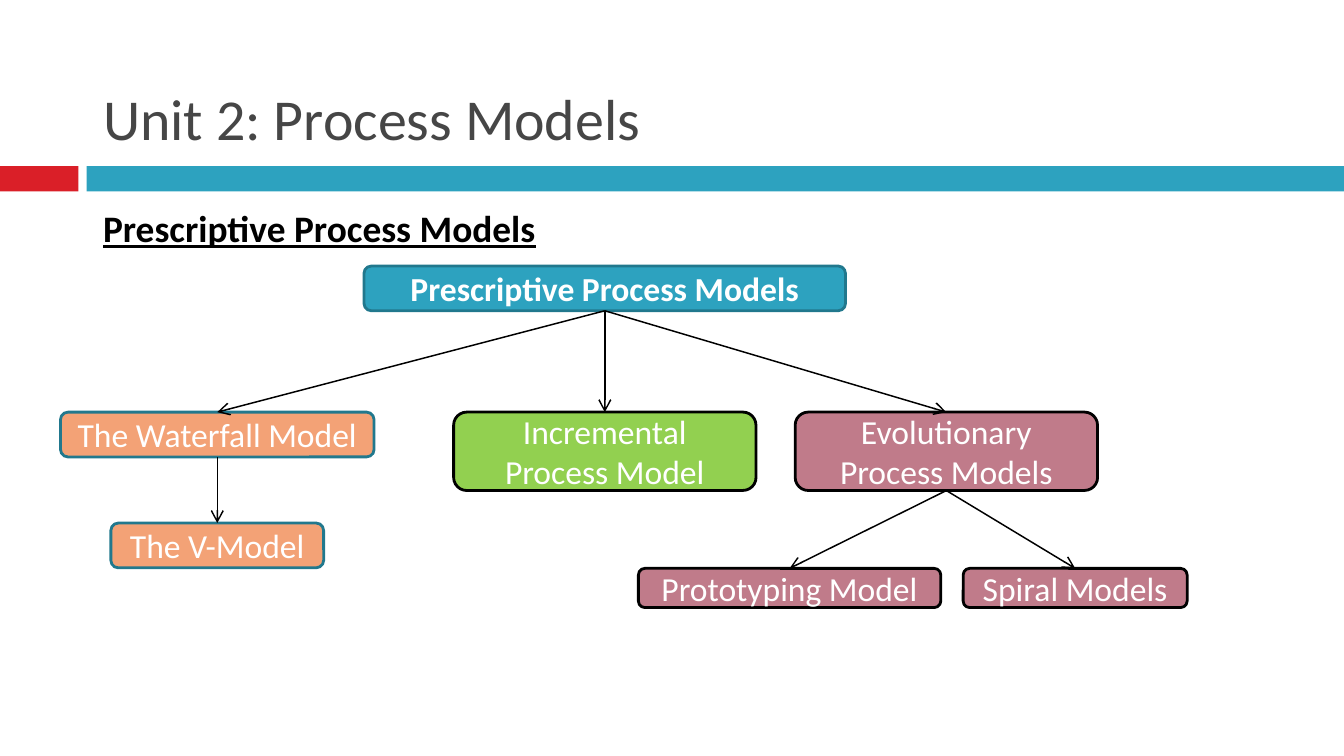
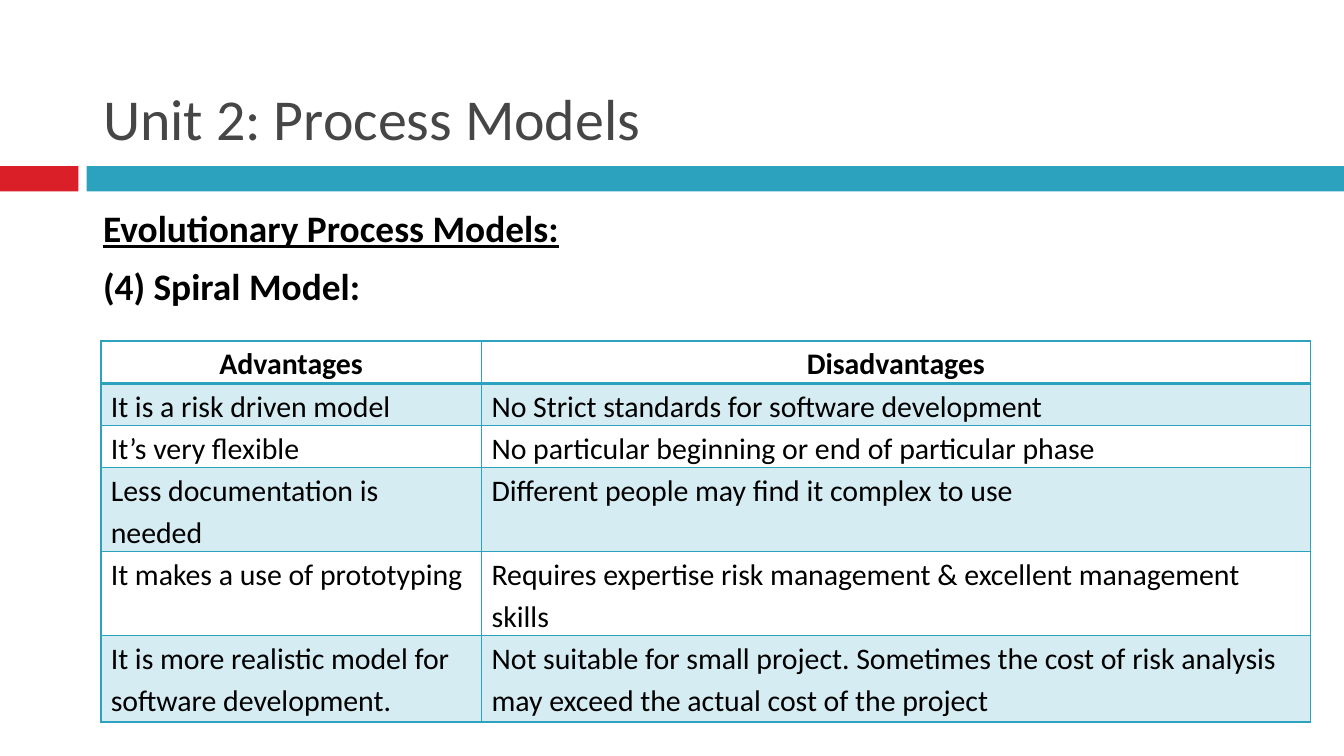
from lxml.etree import SubElement
from pptx import Presentation
from pptx.dml.color import RGBColor
from pptx.enum.shapes import MSO_CONNECTOR, MSO_SHAPE
from pptx.enum.text import MSO_ANCHOR, MSO_AUTO_SIZE, PP_ALIGN
from pptx.oxml.ns import qn
from pptx.util import Inches, Pt

COLORS = {
    "red": "DA1F28",
    "teal": "2DA2BF",
    "dark teal": "21788D",
    "gray": "464646",
    "black": "000000",
    "white": "FFFFFF",
    "orange": "F3A276",
    "green": "92D050",
    "rose": "C07B8A",
}
FONT = "Calibri"
TITLE = "Unit 2: Process Models"
COLUMNS = 120  # grid over the slide width; rows are as tall as columns are wide
TOP, BOTTOM = 0, 2  # connection sites


def color(name):
    return RGBColor.from_string(COLORS[name])


class SlideBuilder:
    """Holds the deck, its style and the current page; lengths are grid units."""

    def __init__(self):
        self.deck = Presentation()
        self.deck.slide_width = Inches(10)
        self.deck.slide_height = Inches(10) * 9 // 16
        self.page = None

    def unit(self, count):
        return round(self.deck.slide_width * count / COLUMNS)

    def place(self, item, *frame):
        item.left, item.top, item.width, item.height = map(self.unit, frame)

    def format_text(self, para, size, ink, bold=False, underline=False):
        for span in para.runs:
            span.font.name = FONT
            span.font.size = Pt(size)
            span.font.bold = bold
            span.font.underline = underline
            span.font.color.rgb = color(ink)

    def shape(self, kind, frame, fill, line=None):
        shape = self.page.shapes.add_shape(kind, *map(self.unit, frame))
        shape.shadow.inherit = False
        shape.fill.solid()
        shape.fill.fore_color.rgb = color(fill)
        if line:
            shape.line.color.rgb = color(line)
            shape.line.width = Pt(1.5)
        else:
            shape.line.fill.background()
        return shape

    def new_page(self, headings, text_columns=1):
        self.page = self.deck.slides.add_slide(self.deck.slide_layouts[1])
        title, body = self.page.placeholders

        # Bands under the title
        self.shape(MSO_SHAPE.RECTANGLE, (0, 14.85, 7, 2.25), "red")
        self.shape(MSO_SHAPE.RECTANGLE, (7.75, 14.85, 112.25, 2.25), "teal")

        # Title
        self.place(title, 8, 3.75, 107, 10.4)
        title.text_frame.text = TITLE
        title.text_frame.vertical_anchor = MSO_ANCHOR.BOTTOM
        title.text_frame.auto_size = MSO_AUTO_SIZE.NONE
        title.text_frame.paragraphs[0].alignment = PP_ALIGN.LEFT
        self.format_text(title.text_frame.paragraphs[0], 31, "gray")

        # Headings: the first one is underlined
        self.place(body, 8, 17.75, 110, 47)
        body.text_frame.text = "\n".join(headings)
        body.text_frame.auto_size = MSO_AUTO_SIZE.NONE
        body.text_frame._txBody.bodyPr.set("numCol", str(text_columns))
        for index, para in enumerate(body.text_frame.paragraphs):
            para.space_before = Pt(7)
            properties = para._p.get_or_add_pPr()
            properties.set("marL", "0")
            properties.set("indent", "0")
            SubElement(properties, qn("a:buNone"))
            self.format_text(para, 20, "black", bold=True, underline=index == 0)

    def node(self, text, frame, fill, line="black", bold=False):
        box = self.shape(MSO_SHAPE.ROUNDED_RECTANGLE, frame, fill, line)
        box.text_frame.word_wrap = True
        box.text_frame.vertical_anchor = MSO_ANCHOR.MIDDLE
        box.text_frame.text = text
        para = box.text_frame.paragraphs[0]
        para.alignment = PP_ALIGN.CENTER
        self.format_text(para, 18, "white", bold)
        return box

    def arrow(self, parent, child):
        arrow = self.page.shapes.add_connector(MSO_CONNECTOR.STRAIGHT, 0, 0, 0, 0)
        arrow.begin_connect(parent, BOTTOM)
        arrow.end_connect(child, TOP)
        arrow.line.color.rgb = color("black")
        arrow.line.width = Pt(0.79)
        SubElement(arrow.line._get_or_add_ln(), qn("a:tailEnd"), type="arrow")
        SubElement(arrow._element.spPr, qn("a:effectLst"))

    def border(self, cell, side, width):
        line = SubElement(cell._tc.get_or_add_tcPr(), qn(f"a:ln{side}"), w=str(Pt(width)))
        SubElement(SubElement(line, qn("a:solidFill")), qn("a:srgbClr"), val=COLORS["teal"])

    def cell(self, cell, text, header, heavy_top, tinted):
        cell.margin_left = cell.margin_right = Pt(5.4)
        cell.margin_top = cell.margin_bottom = 0
        cell.text_frame.text = text
        para = cell.text_frame.paragraphs[0]
        para.line_spacing = 1.15
        para.alignment = PP_ALIGN.CENTER if header else PP_ALIGN.LEFT
        self.format_text(para, 16, "black", bold=header)
        for side in "LRTB":
            heavy = (side == "B" and header) or (side == "T" and heavy_top)
            self.border(cell, side, 2 if heavy else 1)
        if tinted:
            cell.fill.solid()
            cell.fill.fore_color.rgb = color("teal")
            tint = cell._tc.tcPr.find(qn("a:solidFill"))[0]
            SubElement(tint, qn("a:alpha"), val="20000")
        else:
            cell.fill.background()

    def table(self, left, top, widths, heights, rows):
        frame = (left, top, sum(widths), sum(heights))
        table = self.page.shapes.add_table(
            len(rows), len(widths), *map(self.unit, frame)
        ).table
        table.first_row = table.horz_banding = False
        for column, width in zip(table.columns, widths):
            column.width = self.unit(width)
        for index, (row, height, texts) in enumerate(zip(table.rows, heights, rows)):
            row.height = self.unit(height)
            for cell, text in zip(row.cells, texts):
                self.cell(cell, text, index == 0, index == 1, index % 2 == 1)


def build_model_tree(slides):
    slides.new_page(["Prescriptive Process Models"])
    level = 36.8  # row of the three model families
    leaf = 50.75  # row of the evolutionary models

    # Models
    root = slides.node("Prescriptive Process Models", (32.5, 23.75, 43, 4),
                       "teal", "dark teal", bold=True)
    waterfall = slides.node("The Waterfall Model", (5.4, level, 28, 4), "orange", "dark teal")
    v_model = slides.node("The V-Model", (9.9, 46.7, 19, 4), "orange", "dark teal")
    incremental = slides.node("Incremental Process Model", (40.5, level, 27, 7), "green")
    evolutionary = slides.node("Evolutionary Process Models", (71, level, 27, 7), "rose")
    prototyping = slides.node("Prototyping Model", (57, leaf, 27, 3.5), "rose")
    spiral = slides.node("Spiral Models", (86, leaf, 20, 3.5), "rose")

    # Arrows from each model to its kinds
    tree = [
        (root, [waterfall, incremental, evolutionary]),
        (waterfall, [v_model]),
        (evolutionary, [prototyping, spiral]),
    ]
    for parent, children in tree:
        for child in children:
            slides.arrow(parent, child)


def build_spiral_table(slides):
    slides.new_page(["Evolutionary Process Models:", "(4) Spiral Model:"], text_columns=2)
    rows = [
        ("Advantages", "Disadvantages"),
        ("It is a risk driven model", "No Strict standards for software development"),
        ("It’s very flexible", "No particular beginning or end of particular phase"),
        ("Less documentation is needed", "Different people may find it complex to use"),
        ("It makes a use of prototyping",
         "Requires expertise risk management & excellent management skills"),
        ("It is more realistic model for software development.",
         "Not suitable for small project. Sometimes the cost of risk analysis "
         "may exceed the actual cost of the project"),
    ]
    slides.table(9, 30.45, [34, 74], [3.8, 3, 3, 3, 3.1, 7.7], rows)


def main():
    slides = SlideBuilder()
    build_model_tree(slides)
    build_spiral_table(slides)
    slides.deck.save("out.pptx")


if __name__ == "__main__":
    main()
